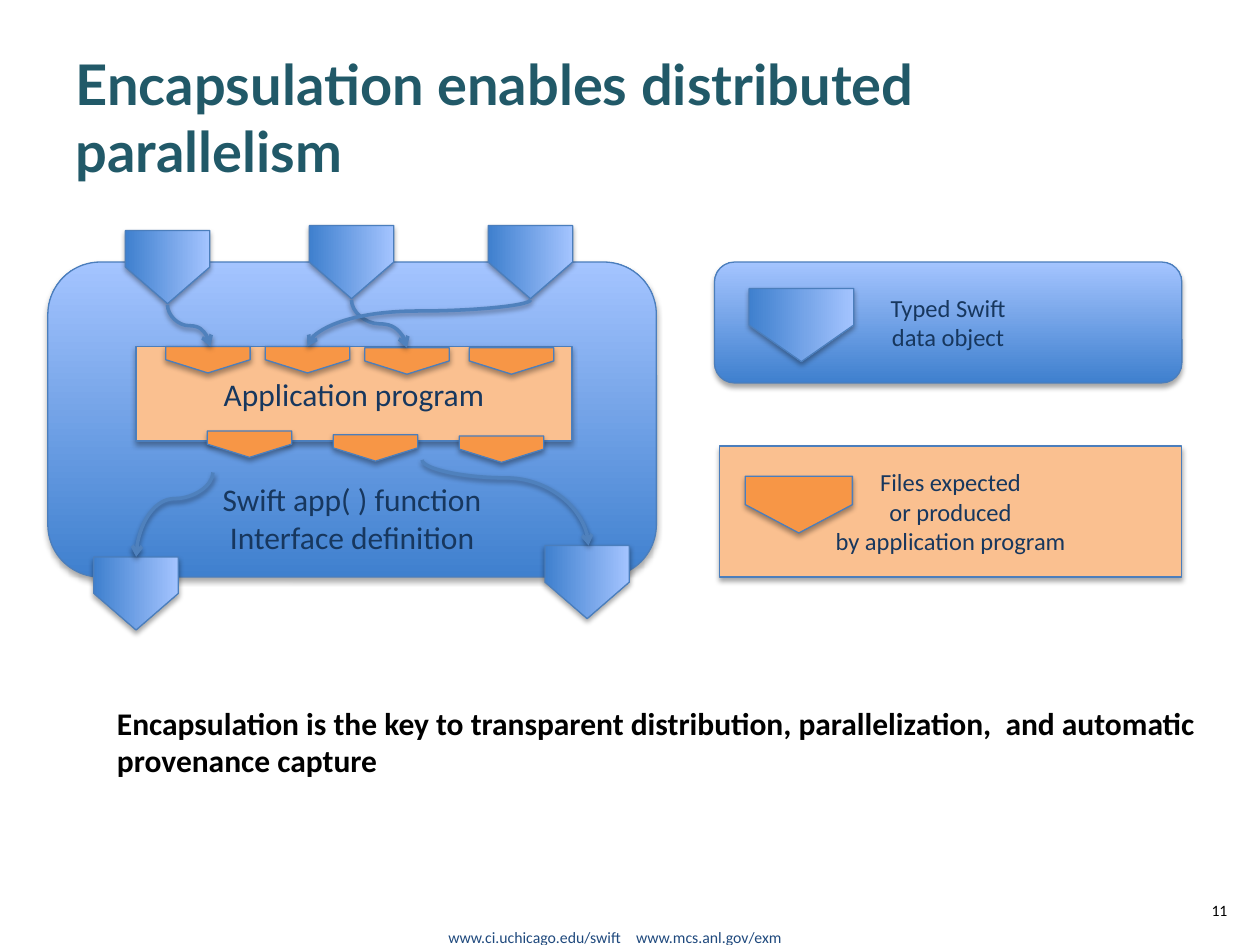
from lxml import etree
from pptx import Presentation
from pptx import util as u
from pptx.dml.color import RGBColor
from pptx.enum import shapes, text
from pptx.oxml import ns

TEAL = RGBColor(0x21, 0x59, 0x68)
NAVY = RGBColor(0x17, 0x37, 0x5E)
FOOTER_BLUE = RGBColor(0x1F, 0x49, 0x7D)
BLACK = RGBColor(0x00, 0x00, 0x00)
DEEP_BLUE = RGBColor(0x3F, 0x80, 0xCE)
PALE_BLUE = RGBColor(0xA4, 0xC4, 0xFF)
PEACH = RGBColor(0xFA, 0xC0, 0x90)
ORANGE = RGBColor(0xF7, 0x96, 0x46)
OUTLINE = RGBColor(0x4B, 0x7E, 0xBC)
ARROW = RGBColor(0x4F, 0x81, 0xBD)
BLUE_GRADIENT = (DEEP_BLUE, PALE_BLUE)

ROUNDED = shapes.MSO_SHAPE.ROUNDED_RECTANGLE
RECTANGLE = shapes.MSO_SHAPE.RECTANGLE
MIDDLE = text.MSO_ANCHOR.MIDDLE
CENTER = text.PP_ALIGN.CENTER


def write(frame, *lines, size, color, font="Calibri", bold=False,
          align=text.PP_ALIGN.LEFT, anchor=text.MSO_ANCHOR.TOP, tab=None):
    """Fill a text frame with one paragraph per line of text."""
    frame.word_wrap = True
    frame.vertical_anchor = anchor
    for index, line in enumerate(lines):
        paragraph = frame.add_paragraph() if index else frame.paragraphs[0]
        paragraph.text = line
        paragraph.alignment = align
        if tab:
            tabs = etree.SubElement(paragraph._p.get_or_add_pPr(), ns.qn("a:tabLst"))
            etree.SubElement(tabs, ns.qn("a:tab"), pos=str(u.Inches(tab)), algn="l")
        for holder in (paragraph, *paragraph.runs):
            span = holder.font
            span.name, span.size, span.bold = font, u.Pt(size), bold
            span.color.rgb = color


def add_text(page, left, top, width, height, *lines, **style):
    """Add a text box."""
    box = page.shapes.add_textbox(*map(u.Inches, (left, top, width, height)))
    write(box.text_frame, *lines, **style)


def add_shadow(properties, distance, opacity):
    """Add a soft shadow that falls straight down."""
    effects = properties.find(ns.qn("a:effectLst"))
    if effects is None:
        effects = etree.SubElement(properties, ns.qn("a:effectLst"))
    shadow = etree.SubElement(
        effects, ns.qn("a:outerShdw"), blurRad=str(u.Pt(3.1)),
        dist=str(u.Pt(distance)), dir="5400000", rotWithShape="0")
    color = etree.SubElement(shadow, ns.qn("a:srgbClr"), val=str(BLACK))
    etree.SubElement(color, ns.qn("a:alpha"), val=str(opacity * 1000))


def add_block(page, kind, left, top, width, height, fill):
    """Add an outlined, shadowed shape with a plain or gradient fill."""
    block = page.shapes.add_shape(kind, *map(u.Inches, (left, top, width, height)))
    if fill is BLUE_GRADIENT:
        block.fill.gradient()
        block.fill.gradient_angle = 90
        for stop, color in zip(block.fill.gradient_stops, fill):
            stop.color.rgb = color
    else:
        block.fill.solid()
        block.fill.fore_color.rgb = fill
    block.line.color.rgb = OUTLINE
    block.line.width = u.Pt(0.75)
    block.shadow.inherit = False
    add_shadow(block._element.spPr, 1.8, 35)
    return block


def add_marker(page, center, top, fill, width=0.67, height=0.58):
    """Add a pentagon that points down, placed by its centre and top."""
    left = center - height / 2
    marker = add_block(page, shapes.MSO_SHAPE.PENTAGON, left,
                       top + (height - width) / 2, height, width, fill)
    marker.rotation = 90


def add_curve(page, start, end, bend=0.5):
    """Add a curved arrow that leaves and arrives vertically."""
    (x1, y1), (x2, y2) = start, end
    length, spread = y2 - y1, abs(x2 - x1)
    left, top = (x1 + x2 - length) / 2, (y1 + y2 - spread) / 2
    curve = page.shapes.add_connector(
        shapes.MSO_CONNECTOR.CURVE,
        *map(u.Inches, (left, top, left + length, top + spread)))
    properties = curve._element.spPr
    frame = properties.find(ns.qn("a:xfrm"))
    frame.set("rot", str((270 if x2 > x1 else 90) * 60000))
    if x2 > x1:
        frame.set("flipH", "1")
    guides = properties.find(ns.qn("a:prstGeom")).find(ns.qn("a:avLst"))
    etree.SubElement(guides, ns.qn("a:gd"), name="adj1",
                     fmla=f"val {round(bend * 100000)}")
    curve.line.color.rgb = ARROW
    curve.line.width = u.Pt(2)
    etree.SubElement(properties.find(ns.qn("a:ln")), ns.qn("a:tailEnd"), type="arrow")
    add_shadow(properties, 1.6, 38)


def add_diagram(page):
    """Draw the app function with its inputs, program and outputs."""
    function = add_block(page, ROUNDED, 0.38, 2.08, 4.83, 2.5, BLUE_GRADIENT)
    write(function.text_frame, "Swift app( ) function", "Interface definition",
          size=18, color=NAVY, align=CENTER, anchor=text.MSO_ANCHOR.BOTTOM)
    for center, top in ((1.33, 1.83), (2.79, 1.79), (4.21, 1.79),
                        (4.66, 4.33), (1.08, 4.42)):
        add_marker(page, center, top, BLUE_GRADIENT)
    program = add_block(page, RECTANGLE, 1.08, 2.75, 3.46, 0.75, PEACH)
    write(program.text_frame, "Application program", size=18, color=NAVY,
          align=CENTER, anchor=MIDDLE)
    for center, top in ((1.65, 2.75), (2.44, 2.75), (3.23, 2.76), (4.06, 2.76),
                        (1.98, 3.42), (2.98, 3.45), (3.98, 3.46)):
        add_marker(page, center, top, ORANGE, height=0.21)
    add_curve(page, (1.33, 2.42), (1.67, 2.75))
    add_curve(page, (1.69, 3.75), (1.08, 4.42), bend=0.31)
    add_curve(page, (3.35, 3.65), (4.67, 4.33), bend=0.21)
    add_curve(page, (2.79, 2.38), (3.23, 2.76))
    add_curve(page, (4.21, 2.38), (2.44, 2.75), bend=0.24)


def add_legend(page):
    """Explain the blue and orange markers."""
    style = dict(size=14, color=NAVY, align=CENTER, anchor=MIDDLE)
    typed = add_block(page, ROUNDED, 5.67, 2.08, 3.71, 0.96, BLUE_GRADIENT)
    write(typed.text_frame, "Typed Swift\vdata object", **style)
    add_marker(page, 6.36, 2.29, BLUE_GRADIENT, width=0.83)
    files = add_block(page, RECTANGLE, 5.71, 3.54, 3.67, 1.04, PEACH)
    write(files.text_frame,
          "Files expected\vor produced\vby application program", **style)
    add_marker(page, 6.34, 3.78, ORANGE, width=0.85, height=0.45)


def main():
    """Build the slide and save the deck."""
    deck = Presentation()
    deck.slide_width, deck.slide_height = u.Inches(10), u.Inches(7.5)
    page = deck.slides.add_slide(deck.slide_layouts[5])
    title = page.shapes.title
    title.left, title.top = u.Inches(0.5), u.Inches(0.3)
    title.width, title.height = u.Inches(9), u.Inches(1.25)
    write(title.text_frame, "Encapsulation enables distributed parallelism",
          size=32, color=TEAL, font="Lato", bold=True, anchor=MIDDLE)
    add_diagram(page)
    add_legend(page)
    add_text(page, 0.83, 5.17, 9, 1.43,
             "Encapsulation is the key to transparent distribution, "
             "parallelization,  and automatic provenance capture",
             size=18, color=BLACK, bold=True, anchor=MIDDLE)
    add_text(page, 9.42, 7.1, 0.42, 0.4, "11", size=9, color=BLACK,
             align=text.PP_ALIGN.RIGHT)
    add_text(page, 3.46, 7.31, 6.5, 0.25,
             "www.ci.uchicago.edu/swift\twww.mcs.anl.gov/exm",
             size=9, color=FOOTER_BLUE, tab=1.49)
    deck.save("out.pptx")


if __name__ == "__main__":
    main()
